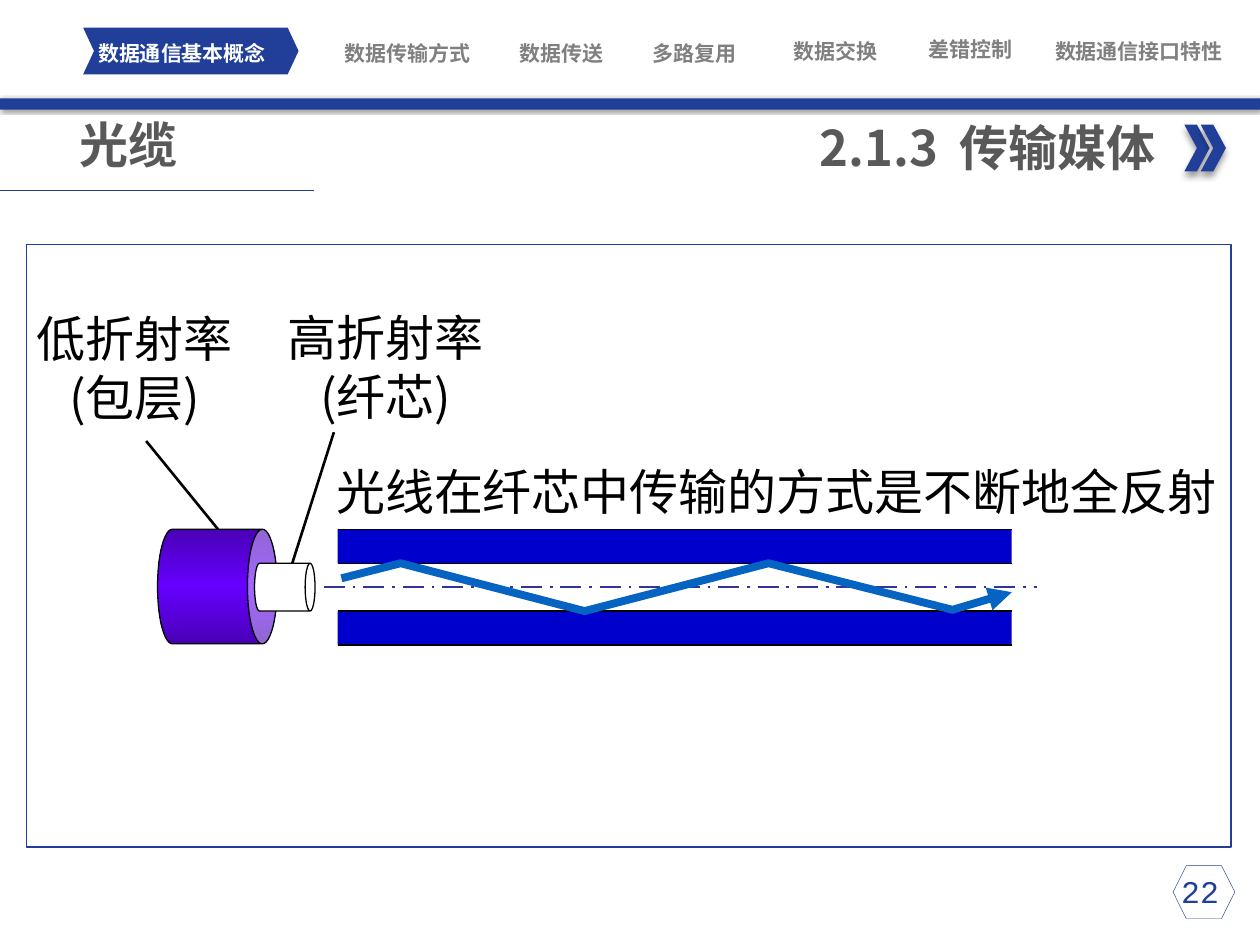
from lxml import etree
from pptx import Presentation, util as u
from pptx.dml.color import RGBColor
from pptx.enum import dml, shapes as sh, text as tx
from pptx.oxml import ns

PX = 9144  # EMU per px, 100 px to the inch
NAVY, GREY, BLACK, WHITE = "213F99", "595959", "000000", "FFFFFF"
SANS = "Noto Sans CJK SC"
KIND = sh.MSO_SHAPE
ALIGN = tx.PP_ALIGN


def px(*vals):
    return [u.Emu(v * PX) for v in vals]


def rgb(hue):
    return RGBColor.from_string(hue)


def sub(node, tag, **attrs):
    return etree.SubElement(node, ns.qn(tag), attrs)


def stroke(line, hue, width):
    line.color.rgb = rgb(hue)
    line.width = u.Pt(width)


def shape(slide, kind, box, fill=None, line=None, width=0.75, adj=None):
    item = slide.shapes.add_shape(kind, *px(*box))
    item.shadow.inherit = False
    if fill:
        item.fill.solid()
        item.fill.fore_color.rgb = rgb(fill)
    else:
        item.fill.background()
    if line:
        stroke(item.line, line, width)
    else:
        item.line.fill.background()
    if adj:
        item.adjustments[0] = adj
    return item


def shade(item, blur, dist, angle):
    node = item._element.spPr.find(ns.qn("a:effectLst"))
    drop = sub(node, "a:outerShdw", blurRad=str(blur * 12700),
               dist=str(dist * 12700), dir=str(angle * 60000),
               algn="tl", rotWithShape="0")
    sub(sub(drop, "a:srgbClr", val=BLACK), "a:alpha", val="40000")


def rule(slide, start, end, hue, width):
    item = slide.shapes.add_connector(sh.MSO_CONNECTOR.STRAIGHT, *px(*start, *end))
    sub(item._element.spPr, "a:effectLst")
    stroke(item.line, hue, width)
    return item


def label(slide, box, words, size=28, hue=BLACK, font=SANS, bold=False,
          align=ALIGN.CENTER, wrap=True, tight=False):
    item = slide.shapes.add_textbox(*px(*box))
    frame = item.text_frame
    frame.text = words
    frame.word_wrap = wrap
    frame.auto_size = tx.MSO_AUTO_SIZE.SHAPE_TO_FIT_TEXT
    if tight:
        frame.margin_left = frame.margin_right = 0
        frame.margin_top = frame.margin_bottom = 0
        frame.vertical_anchor = tx.MSO_ANCHOR.MIDDLE
    for para in frame.paragraphs:
        para.alignment = align
        for run in para.runs:
            run.font.size = u.Pt(size)
            run.font.name = font
            run.font.bold = bold
            run.font.color.rgb = rgb(hue)
    return item


def nav(slide, box):
    x, y, w, h = box
    # Marker of the current chapter, then the chapter names
    shape(slide, KIND.CHEVRON, (x + 66, y + 22, 171, 37), NAVY, adj=0.234)
    tabs = [(72, 32, 145, "数据通信基本概念"), (251, 32, 145, "数据传输方式"),
            (373, 32, 145, "数据传送"), (479, 32, 145, "多路复用"),
            (591, 31, 145, "数据交换"), (698, 29, 145, "差错控制"),
            (808, 31, 192, "数据通信接口特性")]
    for i, (left, top, wide, name) in enumerate(tabs):
        label(slide, (x + left, y + top, wide, 20), name, 12,
              "808080" if i else WHITE, "Roboto Condensed", True, tight=True)
    bar = shape(slide, KIND.RECTANGLE, (x, y + h - 9, w, 9), NAVY)
    shade(bar, 2, 1, 45)


def heading(slide, box):
    x, y, w, h = box
    # Topic on the left, section on the right
    label(slide, (x + 53, y, 323, 57), "光缆", 28, GREY, bold=True,
          align=ALIGN.LEFT)
    rule(slide, (x, y + h), (x + 249, y + h), NAVY, 0.5)
    item = label(slide, (x + 76, y + 2, 851, 57), "2.1.3 ", 28, GREY,
                 bold=True, align=ALIGN.RIGHT)
    para = item.text_frame.paragraphs[0]
    first = para.runs[0]
    first.text = "2.1.3"
    for part, gap in ((" ", "600"), ("传输媒体", "0")):
        run = para.add_run()
        run.text = part
        run.font.size, run.font.name = first.font.size, SANS
        run.font.bold = True
        run.font.color.rgb = rgb(GREY)
        run._r.get_or_add_rPr().set("spc", gap)
    for left in (940, 953):
        mark = shape(slide, KIND.CHEVRON, (x + left, y + 13, 20, 37), NAVY)
        shade(mark, 4, 3, 90)


def cable(slide, box):
    x, y, w, h = box
    # Cladding and core
    clad = shape(slide, KIND.CAN, (x, y - 2, 91, 95), WHITE, BLACK, adj=0.26)
    clad.rotation = 90
    clad.fill.gradient()
    clad.fill.gradient_angle = 0
    stops = clad.fill._fill._gradFill.find(ns.qn("a:gsLst"))
    for old in list(stops):
        stops.remove(old)
    for spot, hue in ((0, "4900B6"), (50, "6600FF"), (100, "4900B6")):
        sub(sub(stops, "a:gs", pos=str(spot * 1000)), "a:srgbClr", val=hue)
    core = shape(slide, KIND.CAN, (x + 80, y + 22, 38, 48), WHITE, BLACK, adj=0.207)
    core.rotation = 90

    # Walls of the cut, each with an edge above and below
    left, right = x + 141, x + w
    for top in (y, y + h - 27):
        shape(slide, KIND.RECTANGLE, (left, top, right - left, 27), "0000CC")
        for edge in (top, top + 27):
            rule(slide, (left, edge), (right, edge), BLACK, 0.75)
    axis = rule(slide, (left - 11, y + 46), (right + 20, y + 46), "333399", 1.5)
    axis.line.dash_style = dml.MSO_LINE.LONG_DASH_DOT

    # Names with their leaders
    label(slide, (x + 91, y - 181, 176, 103), "高折射率\n(纤芯)", wrap=False)
    label(slide, (x - 108, y - 180, 176, 103), "低折射率\n(包层)", wrap=False)
    rule(slide, (x + 138, y - 77), (x + 105, y + 27), BLACK, 1.5)
    rule(slide, (x - 11, y - 70), (x + 46, y), BLACK, 1.5)
    label(slide, (x + 130, y - 59, 723, 57), "光线在纤芯中传输的方式是不断地全反射",
          align=ALIGN.LEFT, wrap=False)

    # Ray bouncing between the walls
    pen = slide.shapes.build_freeform(x + 144, y + 39, PX)
    pen.add_line_segments([(x + 191, y + 27), (x + 337, y + 65), (x + 483, y + 27),
                           (x + 629, y + 64), (x + 676, y + 50)], close=False)
    ray = pen.convert_to_shape()
    ray.shadow.inherit = False
    ray.fill.background()
    stroke(ray.line, "0563C1", 4.5)
    sub(ray.line._get_or_add_ln(), "a:tailEnd", type="triangle")


def number(slide, box):
    x, y, w, h = box
    shape(slide, KIND.HEXAGON, box, line=NAVY, width=0.25)
    label(slide, (x - 22, y, 87, 40), "22", 18, NAVY, "Courier New")


def main():
    deck = Presentation()
    deck.slide_width, deck.slide_height = px(1000, 750)
    slide = deck.slides.add_slide(deck.slide_layouts[6])
    shape(slide, KIND.RECTANGLE, (21, 194, 956, 478), WHITE, NAVY, 1)
    number(slide, (931, 687, 49, 42))
    nav(slide, (0, 0, 1000, 87))
    heading(slide, (0, 86, 1000, 65))
    cable(slide, (127, 420, 676, 92))
    deck.save("out.pptx")


if __name__ == "__main__":
    main()
